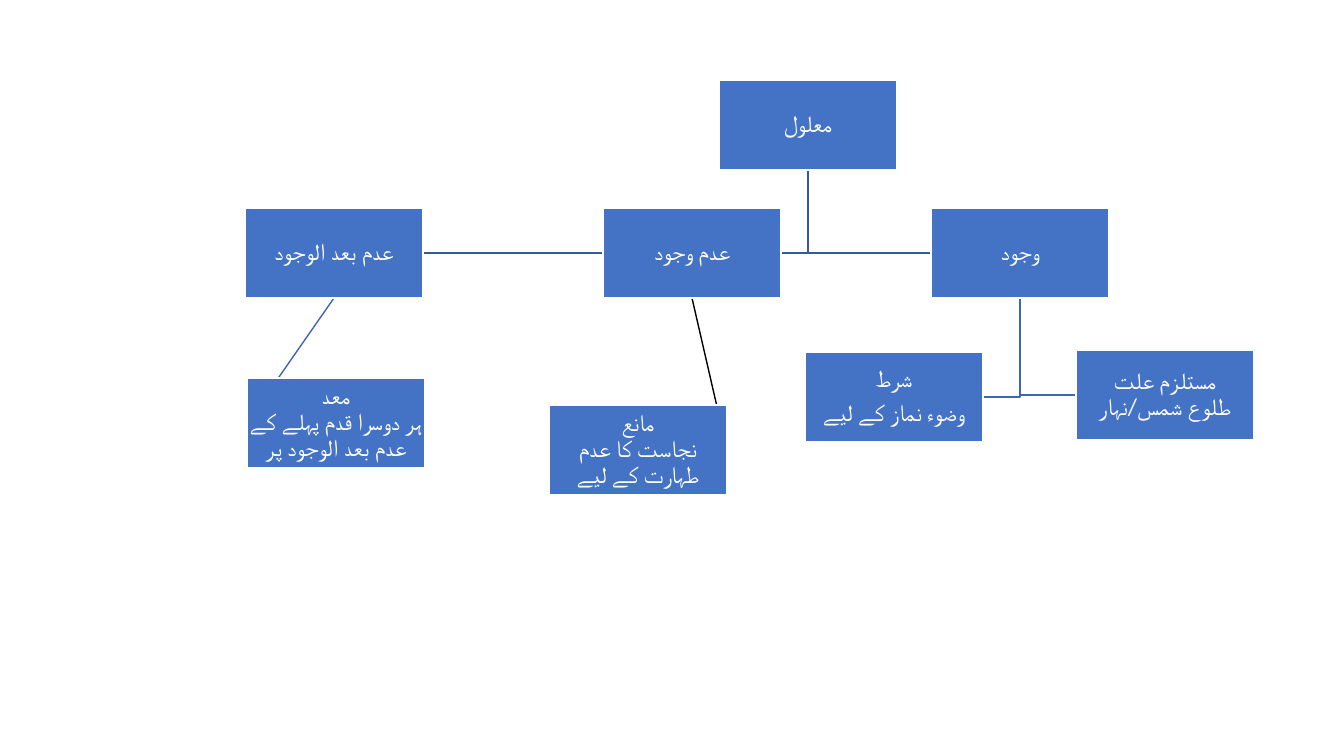
from pptx import Presentation
from pptx.dml.color import RGBColor
from pptx.enum.shapes import MSO_CONNECTOR as Link, MSO_SHAPE as Preset
from pptx.enum.text import MSO_ANCHOR as Anchor, PP_ALIGN as Align
from pptx.oxml.ns import qn
from pptx.util import Emu, Pt
from lxml.etree import SubElement

SCALE = 914400 / 100.8  # EMU per pixel
BOX_W, BOX_H = 178, 90


def px(length):
    return Emu(round(length * SCALE))


def color(value):
    return RGBColor.from_string(value)


def apply(target, values):
    for name, value in values.items():
        setattr(target, name, value)


class Chart:
    FONT = "Calibri"
    FILL, WHITE = "4472C4", "FFFFFF"
    FRAME = dict(word_wrap=True, vertical_anchor=Anchor.MIDDLE, margin_left=px(1),
                 margin_right=px(1), margin_top=px(1), margin_bottom=px(1))
    PARAGRAPH = dict(alignment=Align.CENTER, line_spacing=0.9, space_after=Pt(6))
    TEXT = dict(name=FONT, size=Pt(17))

    def __init__(self, deck):
        self.shapes = deck.slides.add_slide(deck.slide_layouts[6]).shapes

    def outline(self, shape, ink):
        shape.line.color.rgb = color(ink)
        shape.line.width = Pt(1)

    def straight(self, start, end, ink):
        line = self.shapes.add_connector(Link.STRAIGHT, *map(px, start + end))
        SubElement(line._element.spPr, qn("a:effectLst"))
        self.outline(line, ink)

    def elbow(self, start, end, ink):
        builder = self.shapes.build_freeform(*start, scale=SCALE)
        builder.add_line_segments([(start[0], end[1]), end], close=False)
        line = builder.convert_to_shape()
        line.shadow.inherit = False
        line.fill.background()
        self.outline(line, ink)

    def box(self, left, top, text):
        box = self.shapes.add_shape(Preset.RECTANGLE, *map(px, (left, top, BOX_W, BOX_H)))
        box.shadow.inherit = False
        box.fill.solid()
        box.fill.fore_color.rgb = color(self.FILL)
        self.outline(box, self.WHITE)
        frame = box.text_frame
        apply(frame, self.FRAME)
        frame.text = text
        for paragraph in frame.paragraphs:
            apply(paragraph, self.PARAGRAPH)
            for run in paragraph.runs:
                apply(run.font, self.TEXT)
                run.font.color.rgb = color(self.WHITE)
                # Arabic script takes the complex-script font
                SubElement(run.font._element, qn("a:cs"), typeface=self.FONT)


deck = Presentation()
apply(deck, dict(slide_width=px(1344), slide_height=px(756)))
chart = Chart(deck)

# Nodes: left, top, text
nodes = {
    "effect": (719, 80, "معلول"),
    "existence": (931, 208, "وجود"),
    "condition": (805, 352, "شرط\nوضوء نماز کے لیے"),
    "cause": (1076, 350, "مستلزم علت\vطلوع شمس/نہار"),
    "absence": (603, 208, "عدم وجود"),
    "obstacle": (549, 405, "مانع\vنجاست کا عدم طہارت کے لیے"),
    "ceasing": (245, 208, "عدم بعد الوجود"),
    "preparer": (247, 378, "معد\vہر دوسرا قدم پہلے کے عدم بعد الوجود پر"),
}

# Links run from the parent's bottom centre to one side of the child
TOP_INK, LOW_INK = "365B9D", "3E67B2"
links = [
    (chart.straight, "ceasing", "preparer", "left", LOW_INK),
    (chart.elbow, "effect", "ceasing", "right", TOP_INK),
    (chart.straight, "absence", "obstacle", "right", "000000"),
    (chart.elbow, "effect", "absence", "right", TOP_INK),
    (chart.elbow, "existence", "cause", "left", LOW_INK),
    (chart.elbow, "existence", "condition", "right", LOW_INK),
    (chart.elbow, "effect", "existence", "left", TOP_INK),
]
for draw, parent, child, side, ink in links:
    parent_left, parent_top, _ = nodes[parent]
    child_left, child_top, _ = nodes[child]
    start = (parent_left + BOX_W // 2, parent_top + BOX_H)
    end = (child_left + (BOX_W if side == "right" else 0), child_top + BOX_H // 2)
    draw(start, end, ink)

# Boxes cover the link ends
for node in nodes.values():
    chart.box(*node)

deck.save("out.pptx")
